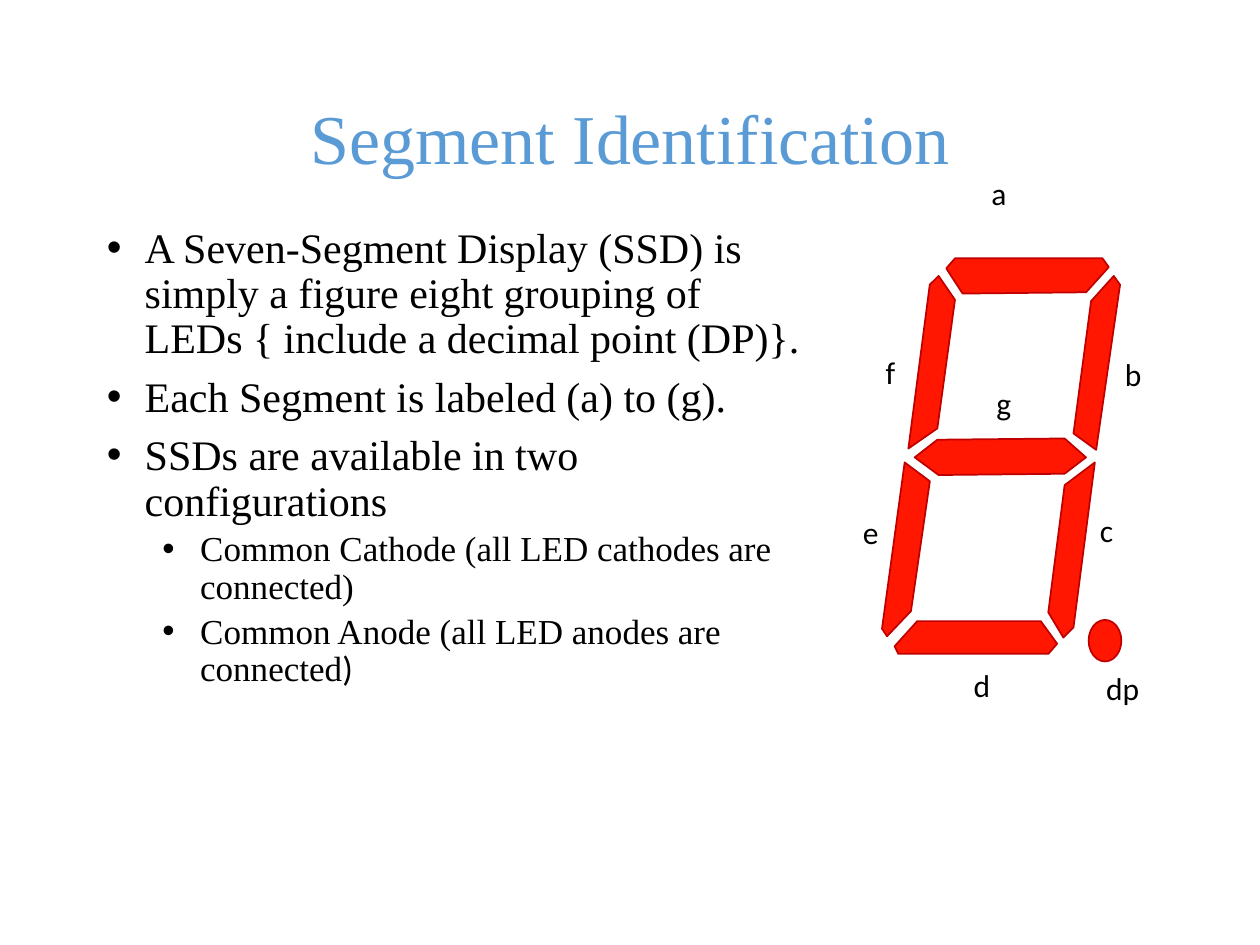
from dataclasses import dataclass

import lxml.etree
import pptx
import pptx.dml.color
import pptx.enum.shapes
import pptx.enum.text
import pptx.oxml.ns
import pptx.util


@dataclass(frozen=True)
class Theme:
    serif: str = "Times New Roman"
    sans: str = "Calibri"
    heading: str = "5B9BD5"
    ink: str = "000000"
    lit: str = "FF1701"
    edge: str = "C00000"
    heading_size: int = 40
    label_size: int = 18
    level_sizes: tuple = (24, 20)
    level_indents: tuple = (0.3, 0.74)
    level_gaps: tuple = (7.5, 3.8)
    hanging: float = 0.3
    line_spacing: float = 0.9


class Board:
    COLUMNS, ROWS = 100, 75

    def __init__(self, deck, theme):
        self.theme = theme
        self.column = deck.slide_width / self.COLUMNS
        self.row = deck.slide_height / self.ROWS
        self.slide = deck.slides.add_slide(deck.slide_layouts[6])

    def across(self, columns):
        return round(columns * self.column)

    def down(self, rows):
        return round(rows * self.row)

    def area(self, left, top, width, height):
        return self.across(left), self.down(top), self.across(width), self.down(height)

    def text_frame(self, area, wrap=True):
        frame = self.slide.shapes.add_textbox(*self.area(*area)).text_frame
        frame.word_wrap = wrap
        return frame

    def style(self, run, face, size, color):
        run.font.name = face
        run.font.size = pptx.util.Pt(size)
        run.font.color.rgb = pptx.dml.color.RGBColor.from_string(color)

    def title(self, words, area):
        frame = self.text_frame(area)
        frame.vertical_anchor = pptx.enum.text.MSO_ANCHOR.MIDDLE
        frame.text = words
        heading = frame.paragraphs[0]
        heading.alignment = pptx.enum.text.PP_ALIGN.CENTER
        heading.line_spacing = self.theme.line_spacing
        self.style(heading.runs[0], self.theme.serif, self.theme.heading_size, self.theme.heading)

    def bullets(self, points, area):
        frame = self.text_frame(area)
        frame.text = "\n".join(words for level, words in points)
        for point, (level, words) in zip(frame.paragraphs, points):
            self.bullet(point, level)
            self.style(point.runs[0], self.theme.serif, self.theme.level_sizes[level], self.theme.ink)
        return frame.paragraphs

    def bullet(self, point, level):
        point.level = level
        point.line_spacing = self.theme.line_spacing
        point.space_before = pptx.util.Pt(self.theme.level_gaps[level])
        properties = point._p.get_or_add_pPr()
        properties.set("marL", str(pptx.util.Inches(self.theme.level_indents[level])))
        properties.set("indent", str(-pptx.util.Inches(self.theme.hanging)))
        for tag, key, value in (("a:buFont", "typeface", "Arial"), ("a:buChar", "char", "•")):
            lxml.etree.SubElement(properties, pptx.oxml.ns.qn(tag)).set(key, value)

    def paint(self, shape):
        shape.shadow.inherit = False
        shape.fill.solid()
        shape.fill.fore_color.rgb = pptx.dml.color.RGBColor.from_string(self.theme.lit)
        shape.line.color.rgb = pptx.dml.color.RGBColor.from_string(self.theme.edge)
        shape.line.width = pptx.util.Pt(1)

    def segment(self, corners):
        first, *rest = [(self.across(x), self.down(y)) for x, y in corners]
        outline = self.slide.shapes.build_freeform(*first)
        outline.add_line_segments(rest, close=True)
        self.paint(outline.convert_to_shape())

    def dot(self, area):
        oval = pptx.enum.shapes.MSO_SHAPE.OVAL
        self.paint(self.slide.shapes.add_shape(oval, *self.area(*area)))

    def label(self, name, left, top, width):
        frame = self.text_frame((left, top, width, 4.9), wrap=False)
        frame.text = name
        self.style(frame.paragraphs[0].runs[0], self.theme.sans, self.theme.label_size, self.theme.ink)


POINTS = [
    (0, "A Seven-Segment Display (SSD) is simply a figure eight grouping of LEDs { include a decimal point (DP)}."),
    (0, "Each Segment is labeled (a) to (g)."),
    (0, "SSDs are available in two configurations"),
    (1, "Common Cathode (all LED cathodes are connected)"),
    (1, "Common Anode (all LED anodes are connected"),
]

SEGMENTS = {
    "b": [(86.6, 23.9), (88.4, 21.9), (88.9, 22.6), (87, 35.7), (85.2, 34.4)],
    "a": [(75.1, 21.3), (75.8, 20.5), (87.5, 20.5), (88, 21.2), (86.2, 23.2), (76.4, 23.3)],
    "f": [(74.5, 21.9), (75.8, 23.8), (74.4, 34), (72.1, 35.6), (73.8, 22.6)],
    "g": [(72.6, 36.3), (74.4, 34.9), (84.5, 34.8), (86.2, 36.3), (84.5, 37.6), (74.5, 37.7)],
    "c": [(84.5, 38.5), (86.9, 36.7), (85.2, 49.8), (84.4, 50.6), (83.2, 48.6)],
    "d": [(72.8, 49.3), (82.6, 49.3), (83.9, 51.1), (83.2, 51.9), (71.3, 51.9), (71, 51.3)],
    "e": [(71.8, 36.7), (73.8, 38.2), (72.3, 48.5), (70.4, 50.5), (70, 49.9)],
}

LABELS = [
    ("a", 77.7, 13.3, 3.3),
    ("b", 88.3, 27.7, 3.3),
    ("c", 86.3, 40.1, 3.2),
    ("d", 76.3, 52.4, 3.3),
    ("e", 67.5, 40.2, 3.3),
    ("g", 78.1, 30, 3.3),
    ("dp", 86.8, 52.6, 4.7),
    ("f", 69.3, 27.5, 2.6),
]


def main():
    deck = pptx.Presentation()
    deck.slide_width = pptx.util.Inches(10)
    deck.slide_height = pptx.util.Inches(7.5)
    theme = Theme()
    board = Board(deck, theme)

    board.title("Segment Identification", (6.9, 4, 86.2, 14.5))
    anode = board.bullets(POINTS, (7.5, 17.5, 57.5, 44.2))[-1]
    closing = anode.add_run()
    closing.text = ")"
    board.style(closing, theme.sans, theme.level_sizes[1], theme.ink)

    for corners in SEGMENTS.values():
        board.segment(corners)
    board.dot((86.4, 49.2, 2.6, 3.3))
    for label in LABELS:
        board.label(*label)

    deck.save("out.pptx")


if __name__ == "__main__":
    main()
